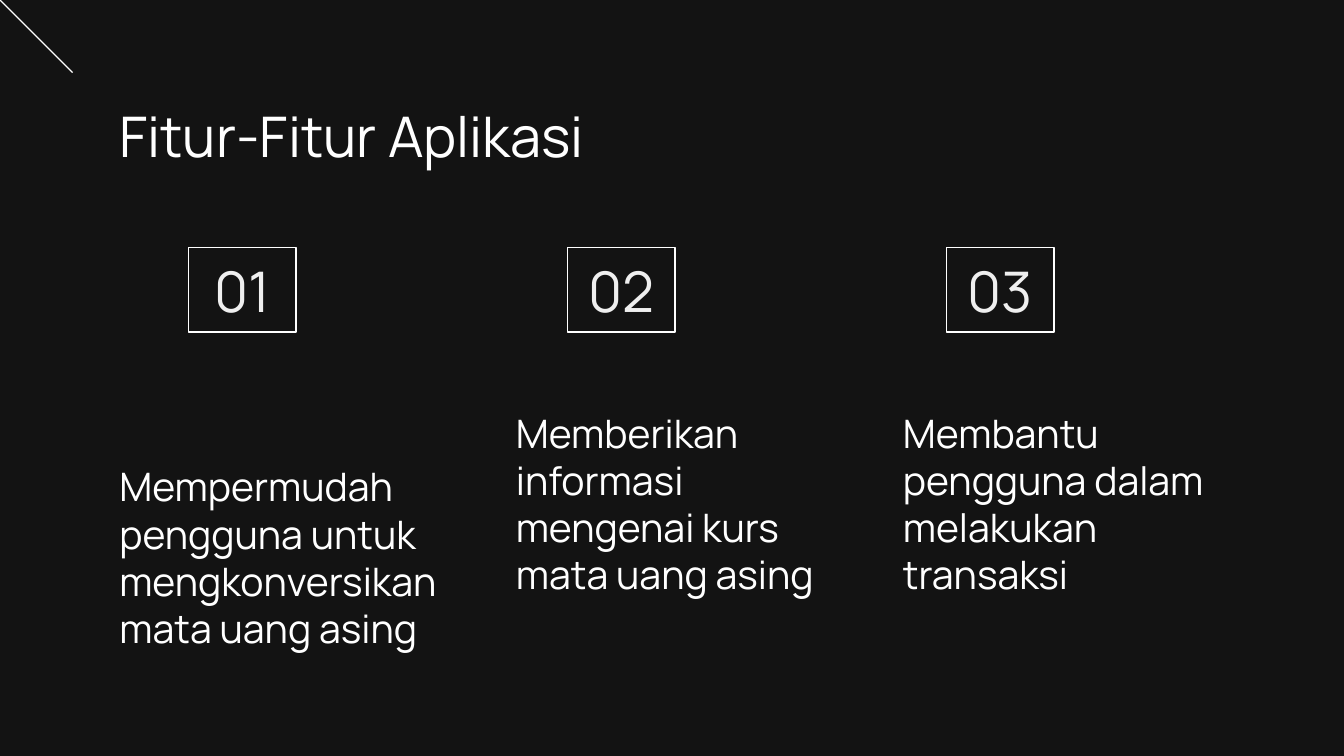
import pptx
import pptx.util
import pptx.dml.color
import pptx.enum.shapes
import pptx.enum.text
import pptx.oxml

WIDE = pptx.util.Inches(10)
HIGH = WIDE * 9 // 16
FONT = "Manrope"
DARK, WHITE, PALE = "131313", "FFFFFF", "EFEFEF"
ANCHOR = pptx.enum.text.MSO_ANCHOR
ALIGN = pptx.enum.text.PP_ALIGN
NOTES = [
    (7.9, 26, 41.78, "Mempermudah pengguna untuk mengkonversikan mata uang asing"),
    (37.4, 25.2, 34.67, "Memberikan informasi mengenai kurs mata uang asing"),
    (66.2, 25.2, 34.67, "Membantu pengguna dalam melakukan transaksi"),
]


def color(code):
    return pptx.dml.color.RGBColor.from_string(code)


def scale(box):
    left, top, wide, high = box
    return [round(part * size / 100) for part, size in
            ((left, WIDE), (top, HIGH), (wide, WIDE), (high, HIGH))]


def write(shape, text, size, tint, anchor, align=ALIGN.LEFT):
    frame = shape.text_frame
    frame.word_wrap = True
    frame.vertical_anchor = anchor
    frame.margin_left = frame.margin_right = pptx.util.Inches(0.1)
    frame.margin_top = frame.margin_bottom = pptx.util.Inches(0.1)
    para = frame.paragraphs[0]
    para.text = text
    para.alignment = align
    para.font.name = FONT
    para.font.size = pptx.util.Pt(size)
    para.font.color.rgb = color(tint)


def label(slide, box, text, size, anchor):
    write(slide.shapes.add_textbox(*scale(box)), text, size, WHITE, anchor)


def corner(slide, box):
    left, top, wide, high = scale(box)
    line = slide.shapes.add_connector(
        pptx.enum.shapes.MSO_CONNECTOR.STRAIGHT, left, top, left + wide, top + high)
    line.line.color.rgb = color(WHITE)
    line.line.width = pptx.util.Pt(0.75)
    line._element.spPr.append(pptx.oxml.parse_xml(
        '<a:effectLst xmlns:a="http://schemas.openxmlformats.org/drawingml/2006/main"/>'))


def tags(slide, box, count, wide):
    left, top, span, high = box
    step = (span - wide) / (count - 1)
    for index in range(count):
        tag = slide.shapes.add_shape(
            pptx.enum.shapes.MSO_SHAPE.RECTANGLE,
            *scale((left + index * step, top, wide, high)))
        tag.shadow.inherit = False
        tag.fill.background()
        tag.line.color.rgb = color(WHITE)
        tag.line.width = pptx.util.Pt(0.75)
        write(tag, f"{index + 1:02}", 30, PALE, ANCHOR.MIDDLE, ALIGN.CENTER)


def notes(slide, top):
    for left, wide, high, text in NOTES:
        label(slide, (left, top, wide, high), text, 21, ANCHOR.BOTTOM)


def main():
    deck = pptx.Presentation()
    deck.slide_width, deck.slide_height = WIDE, HIGH
    slide = deck.slides.add_slide(deck.slide_layouts[6])
    slide.background.fill.solid()
    slide.background.fill.fore_color.rgb = color(DARK)
    corner(slide, (0, 0, 5.4, 9.6))
    label(slide, (7.9, 11.6, 84.3, 11.2), "Fitur-Fitur Aplikasi", 30, ANCHOR.TOP)
    tags(slide, (14.02, 32.75, 64.4, 11.2), len(NOTES), 8)
    notes(slide, 46.1)
    deck.save("out.pptx")


if __name__ == "__main__":
    main()
